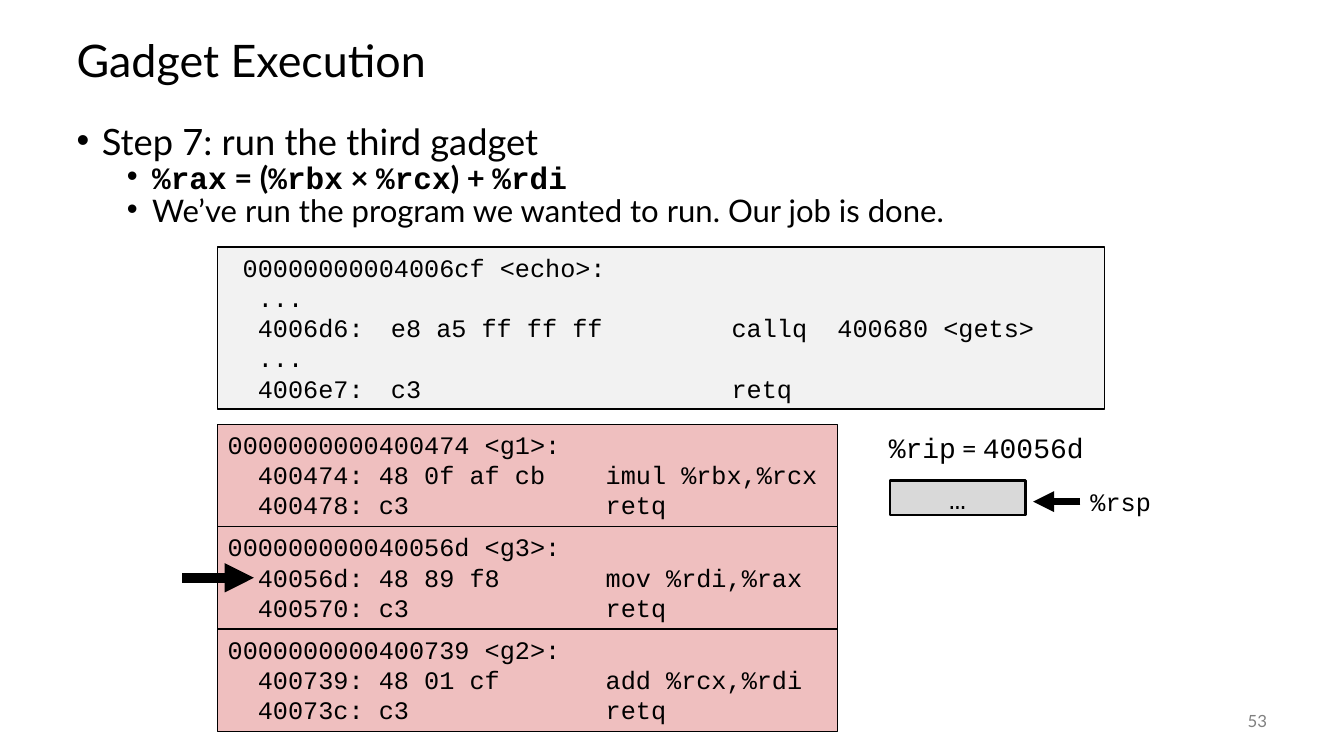
"""Build the slide on running the third gadget of a return-oriented program."""
from dataclasses import dataclass

from lxml import etree
from pptx import Presentation
from pptx import util as u
from pptx.dml.color import RGBColor
from pptx.enum import shapes, text
from pptx.oxml import ns


@dataclass(frozen=True)
class Theme:
    prose: str = "Lato"
    code: str = "Courier New"
    label: str = "Calibri"
    ink: str = "000000"
    muted: str = "808080"
    echo: str = "F2F2F2"
    gadget: str = "EFBFBF"
    stack: str = "D9D9D9"
    title_size: float = 32
    step_size: float = 25.9
    detail_size: float = 22.2
    register_size: float = 20
    code_size: float = 18
    number_size: float = 12


THEME = Theme()
TITLE = "Gadget Execution"
STEP = ["Step 7: run the third gadget"]
DETAILS = [
    [("%rax", THEME.code), (" = (", THEME.prose), ("%rbx", THEME.code),
     (" × ", THEME.prose), ("%rcx", THEME.code), (") + ", THEME.prose),
     ("%rdi", THEME.code)],
    "We’ve run the program we wanted to run. Our job is done.",
]
ECHO = [
    " 00000000004006cf <echo>:",
    "  ...",
    "  4006d6:\te8 a5 ff ff ff       \tcallq  400680 <gets>",
    "  ...",
    "  4006e7:\tc3                   \tretq",
]
ECHO_TABS = [36, 116.64, 296.64, 310.32]
GADGETS = [
    ["0000000000400474 <g1>:",
     "  400474: 48 0f af cb    imul %rbx,%rcx",
     "  400478: c3             retq"],
    ["000000000040056d <g3>:",
     "  40056d: 48 89 f8       mov %rdi,%rax",
     "  400570: c3             retq"],
    ["0000000000400739 <g2>:",
     "  400739: 48 01 cf       add %rcx,%rdi",
     "  40073c: c3             retq"],
]
RIP = [[("%rip", THEME.code), (" = ", THEME.label), ("40056d", THEME.code)]]
RSP = ["%rsp"]
STACK_TOP = ["…"]
PAGE_NUMBER = ["53"]

MARGIN, CONTENT_WIDTH = 47.5, 864
CODE_LEFT = 155.5
GADGET_TOP, GADGET_WIDTH, GADGET_HEIGHT, GADGET_PITCH = 303.1, 442.8, 73, 73.1
RIP_ARROW_LEFT, RIP_ARROW_LENGTH = 130.3, 51.1


def points(*values):
    return [u.Pt(value) for value in values]


def child(parent, tag, **attributes):
    return etree.SubElement(parent, ns.qn(tag), attributes)


def write(box, lines, font=THEME.code, size=THEME.code_size, color=THEME.ink,
          bold=False, align=text.PP_ALIGN.LEFT, anchor=text.MSO_ANCHOR.TOP,
          fit=text.MSO_AUTO_SIZE.NONE, wrap=True, level=0, spacing=None,
          before=0, indent=None, tabs=(), extend=False):
    frame = box.text_frame
    frame.word_wrap, frame.auto_size, frame.vertical_anchor = wrap, fit, anchor
    for index, line in enumerate(lines):
        para = frame.add_paragraph() if index or extend else frame.paragraphs[0]
        para.level, para.alignment = level, align
        para.space_before = u.Pt(before)
        if spacing:
            para.line_spacing = spacing
        props = para._p.get_or_add_pPr()
        if indent:
            props.set("marL", str(u.Pt(indent)))
            props.set("indent", str(u.Pt(-18)))
            child(props, "a:buFont", typeface="Arial")
            child(props, "a:buChar", char="•")
        if tabs:
            stops = child(props, "a:tabLst")
            for stop in tabs:
                child(stops, "a:tab", pos=str(u.Pt(stop)), algn="l")
        for words, face in [(line, font)] if isinstance(line, str) else line:
            span = para.add_run()
            span.text = words
            span.font.name, span.font.size, span.font.bold = face, u.Pt(size), bold
            span.font.color.rgb = RGBColor.from_string(color)
    return box


def label(page, place, lines, **style):
    return write(page.shapes.add_textbox(*points(*place)), lines, **style)


def panel(page, place, lines, fill, border, **style):
    box = page.shapes.add_shape(shapes.MSO_SHAPE.RECTANGLE, *points(*place))
    box.shadow.inherit = False
    box.fill.solid()
    box.fill.fore_color.rgb = RGBColor.from_string(fill)
    box.line.color.rgb = RGBColor.from_string(THEME.ink)
    box.line.width = u.Pt(border)
    return write(box, lines, **style)


def arrow(page, start, end, width):
    line = page.shapes.add_connector(
        shapes.MSO_CONNECTOR.STRAIGHT, *points(*start, *end))
    line.line.color.rgb = RGBColor.from_string(THEME.ink)
    line.line.width = u.Pt(width)
    props = line.element.spPr
    child(props.find(ns.qn("a:ln")), "a:tailEnd", type="triangle")
    child(props, "a:effectLst")
    return line


def place_at(box, *place):
    box.left, box.top, box.width, box.height = points(*place)


def main():
    deck = Presentation()
    deck.slide_width, deck.slide_height = points(960, 540)
    page = deck.slides.add_slide(deck.slide_layouts[1])
    grow = text.MSO_AUTO_SIZE.SHAPE_TO_FIT_TEXT
    middle = text.MSO_ANCHOR.MIDDLE

    title, body = page.shapes.title, page.placeholders[1]
    place_at(title, MARGIN, 18, CONTENT_WIDTH, 54)
    write(title, [TITLE], font=THEME.prose, size=THEME.title_size,
          anchor=middle, spacing=0.9)
    place_at(body, MARGIN, 90, CONTENT_WIDTH, 78.5)
    write(body, STEP, font=THEME.prose, size=THEME.step_size,
          spacing=0.7, indent=18)
    for detail in DETAILS:
        write(body, [detail], font=THEME.prose, size=THEME.detail_size,
              bold=not isinstance(detail, str), level=1, spacing=0.7,
              before=5, indent=54, extend=True)

    panel(page, (CODE_LEFT, 176.4, 633.6, 115.9), ECHO, THEME.echo, 1,
          fit=grow, tabs=ECHO_TABS)
    for index, gadget in enumerate(GADGETS):
        top = GADGET_TOP + index * GADGET_PITCH
        panel(page, (CODE_LEFT, top, GADGET_WIDTH, GADGET_HEIGHT), gadget,
              THEME.gadget, 0.75, fit=grow)

    label(page, (627.8, 303.8, 154.8, 31.7), RIP, size=THEME.register_size,
          fit=grow, wrap=False)
    panel(page, (635.8, 343.4, 96.5, 24.5), STACK_TOP, THEME.stack, 2,
          size=THEME.register_size, align=text.PP_ALIGN.CENTER, anchor=middle)
    pointer = label(page, (771.8, 343.8, 73.4, 29), RSP, fit=grow)
    pointer_y = 358.3
    arrow(page, (771.8, pointer_y), (738, pointer_y), 5).begin_connect(pointer, 1)

    current_y = GADGET_TOP + GADGET_PITCH + GADGET_HEIGHT / 2
    arrow(page, (RIP_ARROW_LEFT, current_y),
          (RIP_ARROW_LEFT + RIP_ARROW_LENGTH, current_y), 7)
    label(page, (840.2, 500.4, 72, 28.8), PAGE_NUMBER, font=THEME.prose,
          size=THEME.number_size, color=THEME.muted,
          align=text.PP_ALIGN.RIGHT, anchor=middle)
    deck.save("out.pptx")


if __name__ == "__main__":
    main()
